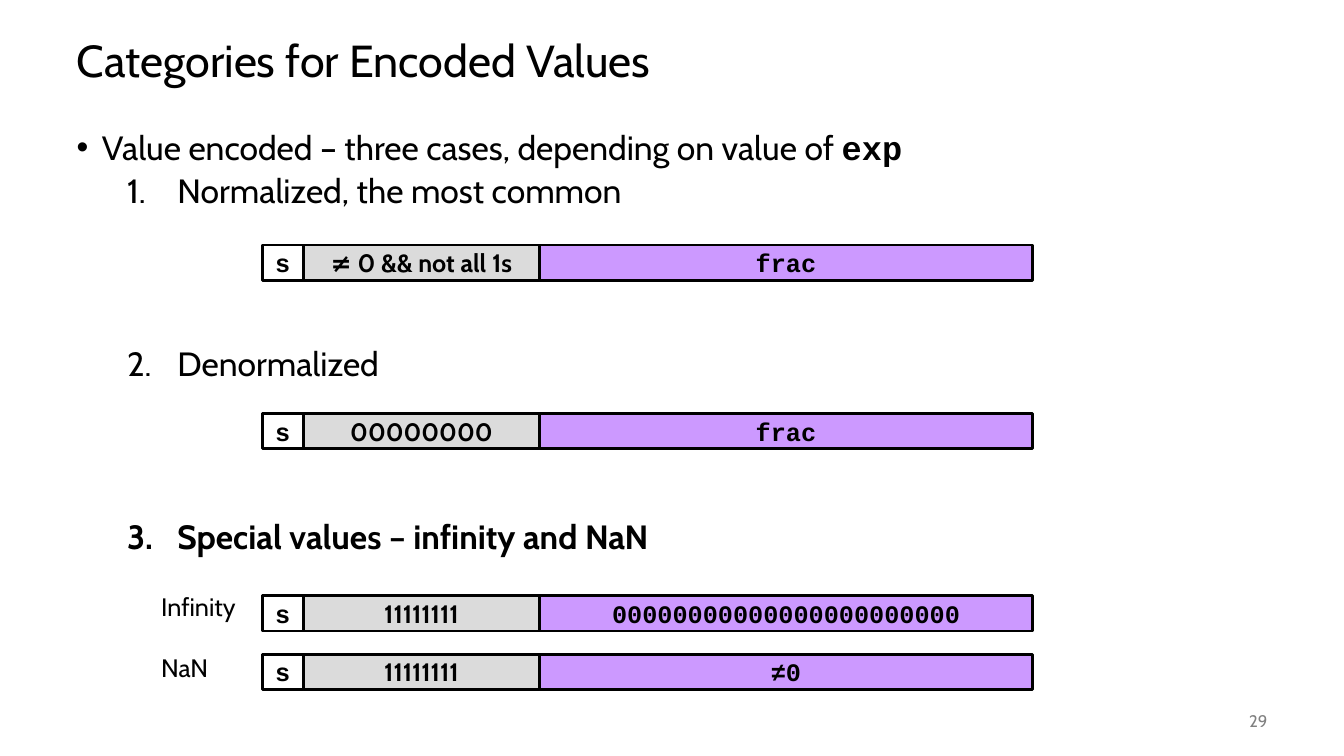
from dataclasses import dataclass

from lxml import etree
from pptx import Presentation
from pptx import util as u
from pptx.dml.color import RGBColor
from pptx.enum import shapes, text
from pptx.oxml.ns import qn


@dataclass(frozen=True)
class Theme:
    sans: str = "Cabin"
    mono: str = "Courier New"
    ink: str = "000000"
    muted: str = "808080"
    sign: str = "FFFFFF"
    exp: str = "DBDBDB"
    frac: str = "CC99FF"
    title: int = 32
    body: int = 24
    label: int = 18
    number: int = 12


T = Theme()
ROW_H = 0.35
FIELDS = ((0.41, T.sign, T.mono), (2.34, T.exp, T.sans), (4.89, T.frac, T.mono))
ROWS = (
    (2.43, ("s", "≠ 0 && not all 1s", "frac")),
    (4.1, ("s", "00000000", "frac")),
    (5.91, ("s", "11111111", "00000000000000000000000")),
    (6.49, ("s", "11111111", "≠0")),
)


def apply(obj, values):
    for name, value in values.items():
        setattr(obj, name, value)


def place(sp, left, top, width, height):
    box = dict(left=left, top=top, width=width, height=height)
    apply(sp, {name: u.Inches(value) for name, value in box.items()})


def add_run(p, words, size, font=T.sans, bold=False, color=T.ink):
    r = p.add_run()
    r.text = words
    apply(r.font, dict(name=font, size=u.Pt(size), bold=bold))
    r.font.color.rgb = RGBColor.from_string(color)


def add_title(s, words, box):
    sp = s.shapes.title
    place(sp, *box)
    tf = sp.text_frame
    apply(tf, dict(vertical_anchor=text.MSO_ANCHOR.MIDDLE,
                   auto_size=text.MSO_AUTO_SIZE.NONE))
    p = tf.paragraphs[0]
    apply(p, dict(alignment=text.PP_ALIGN.LEFT, line_spacing=0.9))
    add_run(p, words, T.title)


def format_item(p, level, before, margin, indent, bullet, **attributes):
    apply(p, dict(level=level, line_spacing=0.9, space_before=u.Pt(before)))
    pPr = p._p.get_or_add_pPr()
    pPr.set("marL", str(u.Inches(margin)))
    pPr.set("indent", str(u.Inches(indent)))
    etree.SubElement(pPr, qn(bullet), attributes)


def add_body(s, box):
    sp = s.placeholders[1]
    place(sp, *box)
    tf = sp.text_frame
    tf.auto_size = text.MSO_AUTO_SIZE.NONE
    p = tf.paragraphs[0]
    format_item(p, 0, 0, 0.25, -0.25, "a:buChar", char="•")
    add_run(p, "Value encoded – three cases, depending on value of ", T.body)
    add_run(p, "exp", T.body, T.mono, True)
    cases = (
        ("Normalized, the most common", 5, False),
        ("Denormalized", 97.7, False),
        ("Special values – infinity and NaN", 97.7, True),
    )
    for words, before, bold in cases:
        p = tf.add_paragraph()
        format_item(p, 1, before, 1, -0.5, "a:buAutoNum", type="arabicPeriod")
        add_run(p, words, T.body, bold=bold)


def add_bit_row(s, words, left, top):
    group = s.shapes.add_group_shape()
    for label, (width, fill, font) in zip(words, FIELDS):
        sp = group.shapes.add_shape(
            shapes.MSO_SHAPE.RECTANGLE,
            u.Inches(left), u.Inches(top), u.Inches(width), u.Inches(ROW_H))
        sp.shadow.inherit = False
        sp.fill.solid()
        sp.fill.fore_color.rgb = RGBColor.from_string(fill)
        sp.line.color.rgb = RGBColor.from_string(T.ink)
        sp.line.width = u.Pt(2)
        tf = sp.text_frame
        apply(tf, dict(word_wrap=False, vertical_anchor=text.MSO_ANCHOR.MIDDLE))
        p = tf.paragraphs[0]
        p.alignment = text.PP_ALIGN.CENTER
        add_run(p, label, T.label, font, True)
        left += width


def add_label(s, words, box, size=T.label, color=T.ink, wrap=False,
              align=text.PP_ALIGN.LEFT, anchor=text.MSO_ANCHOR.TOP):
    sp = s.shapes.add_textbox(*map(u.Inches, box))
    tf = sp.text_frame
    apply(tf, dict(word_wrap=wrap, vertical_anchor=anchor))
    p = tf.paragraphs[0]
    p.alignment = align
    add_run(p, words, size, color=color)


def main():
    prs = Presentation()
    apply(prs, dict(slide_width=u.Inches(13.33), slide_height=u.Inches(7.5)))
    s = prs.slides.add_slide(prs.slide_layouts[1])
    add_title(s, "Categories for Encoded Values", (0.66, 0.25, 12, 0.75))
    add_body(s, (0.66, 1.25, 12, 5.5))
    for top, words in ROWS:
        add_bit_row(s, words, 2.6, top)
    add_label(s, "Infinity", (1.5, 5.82, 0.98, 0.4))
    add_label(s, "NaN", (1.5, 6.42, 0.67, 0.4))
    add_label(s, "29", (11.67, 6.95, 1, 0.4), T.number, T.muted, True,
              text.PP_ALIGN.RIGHT, text.MSO_ANCHOR.MIDDLE)
    prs.save("out.pptx")


if __name__ == "__main__":
    main()
